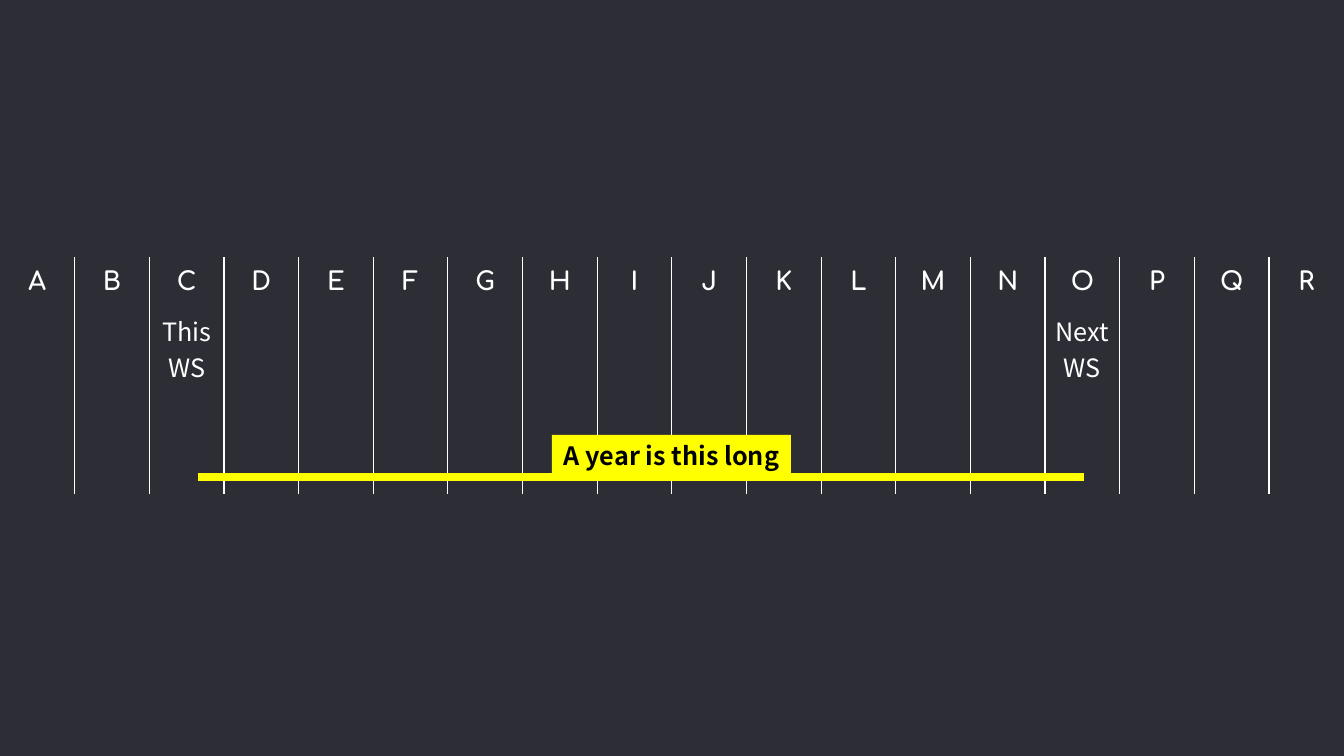
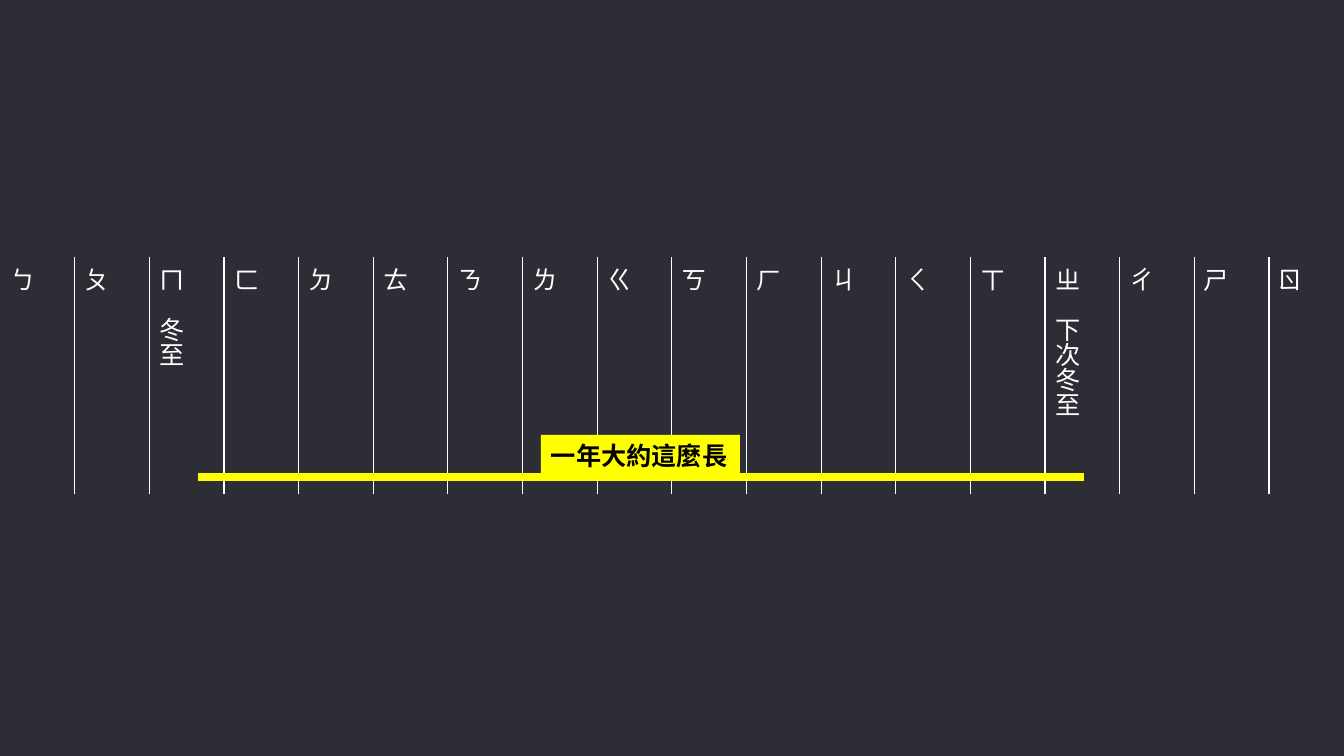
import pptx
import pptx.dml.color
import pptx.enum.dml
import pptx.enum.shapes
import pptx.enum.text
import pptx.oxml
import pptx.oxml.ns
import pptx.util
from lxml import etree

RGBColor = pptx.dml.color.RGBColor
NIGHT = RGBColor(0x2D, 0x2E, 0x35)
WHITE = RGBColor(0xFF, 0xFF, 0xFF)
YELLOW = RGBColor(0xFF, 0xFF, 0x00)
BLACK = RGBColor(0x00, 0x00, 0x00)

LETTER_FONT = "Comfortaa"
BOPOMOFO_FONT = "TeX Gyre Bonum"
LATE_BOPOMOFO_FONT = "Arial"
BODY_FONT = "Noto Sans CJK SC"

EMU_PER_PX = 12192000 / 1344
SLIDE_W, SLIDE_H = 1344, 756
CALENDAR_TOP = 257
ROW_HEIGHTS = (50, 187)
YEAR_START, YEAR_END, YEAR_Y = 198, 1084, 477
LABEL_TOP, LABEL_H = 435, 40
THIS_SOLSTICE, NEXT_SOLSTICE = 2, 14
PLAIN_TABLE_STYLE = "{2D5ABB26-0587-4C30-8999-92F81FD0307C}"

CENTER = pptx.enum.text.PP_ALIGN.CENTER
LEFT = pptx.enum.text.PP_ALIGN.LEFT
MIDDLE = pptx.enum.text.MSO_ANCHOR.MIDDLE
TOP = pptx.enum.text.MSO_ANCHOR.TOP


def px(length):
    return pptx.util.Emu(round(length * EMU_PER_PX))


def write_text(frame, text, *, font, color=WHITE, size=18, bold=False, align=LEFT):
    paragraph = frame.paragraphs[0]
    paragraph.alignment = align
    run = paragraph.add_run()
    run.text = text
    run.font.name = font
    run.font.size = pptx.util.Pt(size)
    run.font.bold = bold
    run.font.color.rgb = color
    east_asian = etree.SubElement(run.font._element, pptx.oxml.ns.qn("a:ea"))
    east_asian.set("typeface", font)


def border_xml(side, visible):
    paint = f'<a:solidFill><a:srgbClr val="{WHITE}"/></a:solidFill>' if visible else "<a:noFill/>"
    return pptx.oxml.parse_xml(
        f'<a:{side} {pptx.oxml.ns.nsdecls("a")} w="{pptx.util.Pt(1)}">{paint}</a:{side}>'
    )


def style_cell(cell, *, left, right, vertical, anchor):
    cell.fill.background()
    cell.vertical_anchor = anchor
    properties = cell._tc.get_or_add_tcPr()
    if vertical:
        properties.set("vert", "eaVert")
    sides = {"lnL": left, "lnR": right, "lnT": False, "lnB": False}
    for position, (side, visible) in enumerate(sides.items()):
        properties.insert(position, border_xml(side, visible))


def add_calendar(slide, headings, solstices, *, heading_fonts, bold, align, vertical):
    count = len(headings)
    calendar = slide.shapes.add_table(
        len(ROW_HEIGHTS), count, 0, px(CALENDAR_TOP), px(SLIDE_W), px(sum(ROW_HEIGHTS))
    ).table
    calendar.first_row = False
    calendar.horz_banding = False
    style = calendar._tbl.tblPr.find(pptx.oxml.ns.qn("a:tableStyleId"))
    style.text = PLAIN_TABLE_STYLE
    for row, height in zip(calendar.rows, ROW_HEIGHTS):
        row.height = px(height)
    for index, heading in enumerate(headings):
        calendar.columns[index].width = px(SLIDE_W / count)
        for row in range(len(ROW_HEIGHTS)):
            style_cell(
                calendar.cell(row, index),
                left=index > 0,
                right=index < count - 1,
                vertical=vertical,
                anchor=MIDDLE if vertical or row == 0 else TOP,
            )
        write_text(
            calendar.cell(0, index).text_frame, heading,
            font=heading_fonts[index], bold=bold, align=align,
        )
    for index, name in solstices.items():
        write_text(calendar.cell(1, index).text_frame, name, font=BODY_FONT, align=align)


def add_year_line(slide):
    year = slide.shapes.add_connector(
        pptx.enum.shapes.MSO_CONNECTOR.STRAIGHT,
        px(YEAR_START), px(YEAR_Y), px(YEAR_END), px(YEAR_Y),
    )
    year.line.color.rgb = YELLOW
    year.line.width = pptx.util.Pt(6)
    etree.SubElement(year._element.spPr, pptx.oxml.ns.qn("a:effectLst"))


def add_year_label(slide, text, *, left, width, align):
    label = slide.shapes.add_textbox(px(left), px(LABEL_TOP), px(width), px(LABEL_H))
    label.fill.solid()
    label.fill.fore_color.rgb = YELLOW
    label.text_frame.word_wrap = False
    label.text_frame.auto_size = pptx.enum.text.MSO_AUTO_SIZE.SHAPE_TO_FIT_TEXT
    write_text(label.text_frame, text, font=BODY_FONT, color=BLACK, bold=True, align=align)


def add_year_slide(deck, calendar, label):
    slide = deck.slides.add_slide(deck.slide_layouts[6])
    add_calendar(slide, **calendar)
    add_year_line(slide)
    add_year_label(slide, **label)


def main():
    deck = pptx.Presentation()
    deck.slide_width, deck.slide_height = px(SLIDE_W), px(SLIDE_H)
    background = deck.slide_master.background.fill
    background.solid()
    background.fore_color.rgb = NIGHT

    add_year_slide(
        deck,
        dict(
            headings="ABCDEFGHIJKLMNOPQR",
            solstices={THIS_SOLSTICE: "This WS", NEXT_SOLSTICE: "Next WS"},
            heading_fonts=[LETTER_FONT] * 18,
            bold=True,
            align=CENTER,
            vertical=False,
        ),
        dict(text="A year is this long", left=552, width=239, align=CENTER),
    )
    add_year_slide(
        deck,
        dict(
            headings="ㄅㄆㄇㄈㄉㄊㄋㄌㄍㄎㄏㄐㄑㄒㄓㄔㄕㄖ",
            solstices={THIS_SOLSTICE: "冬至", NEXT_SOLSTICE: "下次冬至"},
            heading_fonts=[BOPOMOFO_FONT] * 16 + [LATE_BOPOMOFO_FONT] * 2,
            bold=False,
            align=LEFT,
            vertical=True,
        ),
        dict(text="一年大約這麼長", left=541, width=199, align=LEFT),
    )
    deck.save("out.pptx")


if __name__ == "__main__":
    main()
